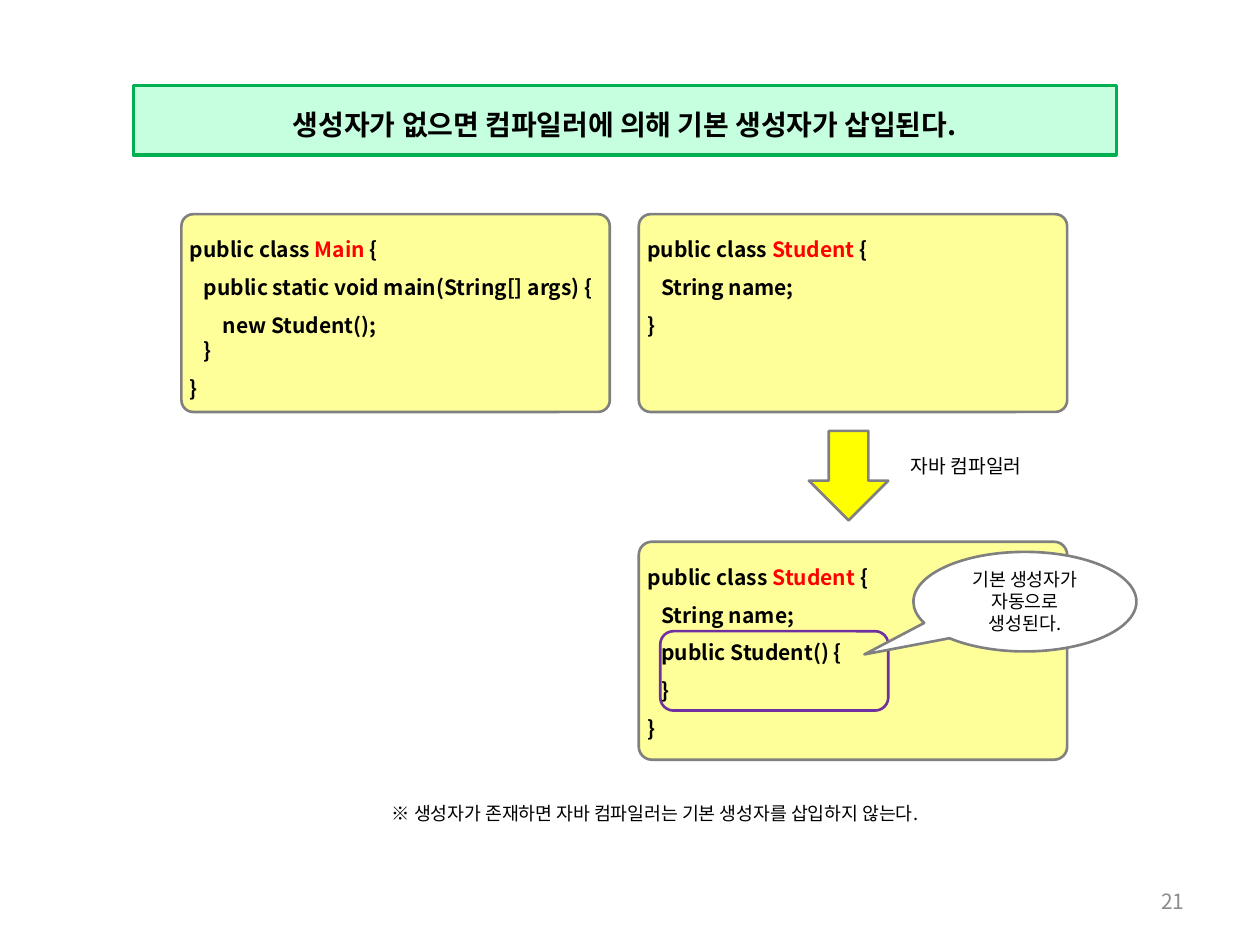
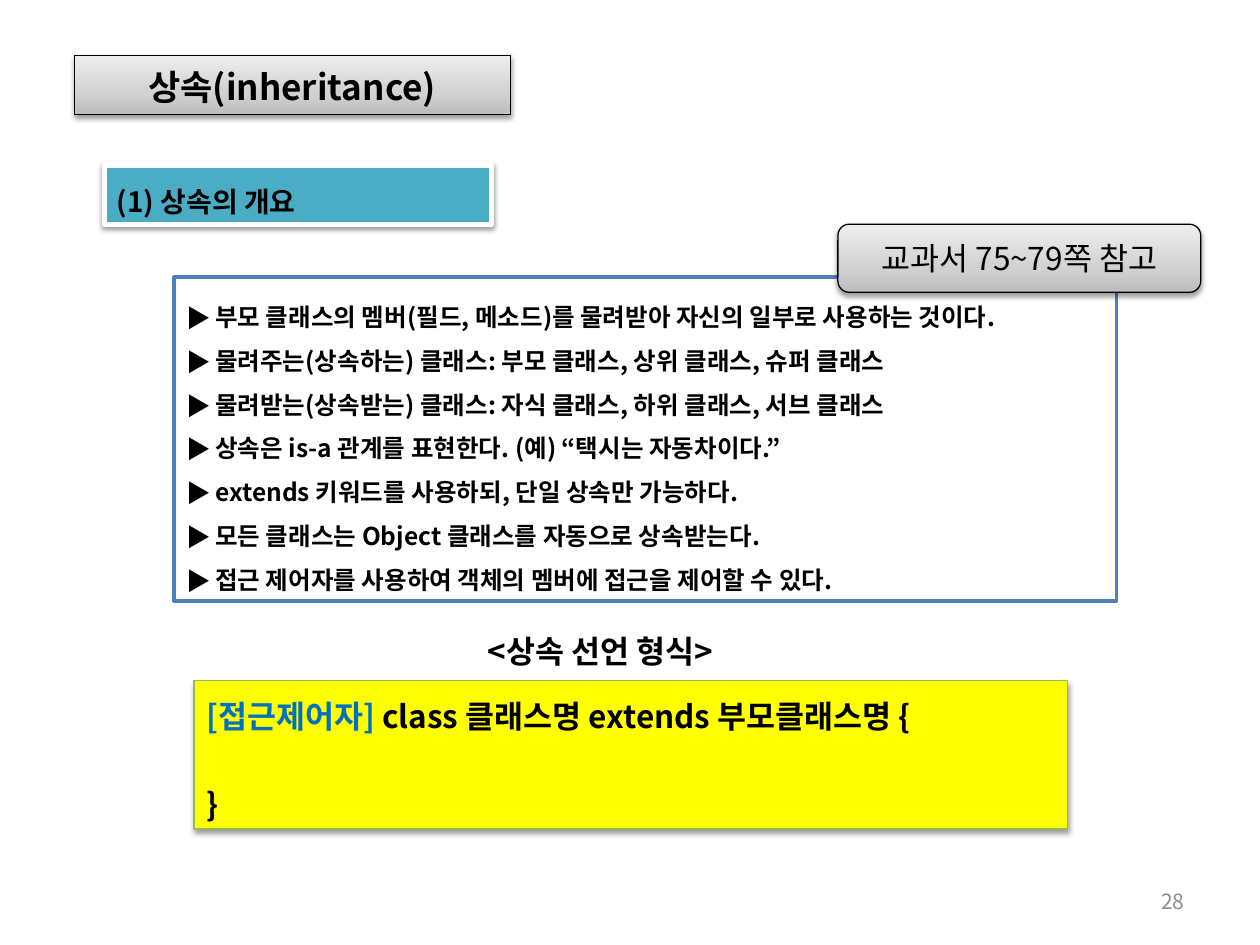
import dataclasses

import pptx
import pptx.dml.color
import pptx.enum.shapes
import pptx.enum.text
import pptx.oxml.ns
import pptx.util
from lxml import etree

Inches = pptx.util.Inches
Pt = pptx.util.Pt
Shape = pptx.enum.shapes.MSO_SHAPE
Align = pptx.enum.text.PP_ALIGN
Anchor = pptx.enum.text.MSO_ANCHOR
qn = pptx.oxml.ns.qn


@dataclasses.dataclass(frozen=True)
class Theme:
    font: str = "Noto Sans CJK KR"
    # Colours
    black: str = "000000"
    white: str = "FFFFFF"
    gray: str = "808080"
    number: str = "8C8C8C"
    red: str = "FF0000"
    yellow: str = "FFFF00"
    code_fill: str = "FFFF99"
    mint: str = "C5FFDF"
    green: str = "00B050"
    purple: str = "7030A0"
    teal: str = "4BACC6"
    blue: str = "4F81BD"
    keyword: str = "0070C0"
    olive: str = "98B955"
    silver: tuple = ((0, "BDBDBD"), (35, "D1D1D1"), (100, "EEEEEE"))
    # Type sizes
    title: float = 20
    large: float = 18
    heading: float = 16
    body: float = 14
    code: float = 12
    label: float = 11
    note: float = 10.5
    # Spacing
    exact_line: pptx.util.Length = Pt(25)
    box_insets: tuple = (0.1, 0.08, 0.1, 0.05)
    code_insets: tuple = (0.04, 0.05, 0, 0.05)


THEME = Theme()


def rgb(value):
    return pptx.dml.color.RGBColor.from_string(value)


def add_element(parent, tag, **attributes):
    element = etree.SubElement(parent, qn(tag))
    for name, value in attributes.items():
        element.set(name, str(value))
    return element


def add_span(para, text, *, size, color=THEME.black, bold=False):
    span = para.add_run()
    span.text = text
    span.font.size = Pt(size)
    span.font.bold = bold
    span.font.color.rgb = rgb(color)
    span.font.name = THEME.font
    add_element(span.font._element, "a:ea", typeface=THEME.font)


class Deck:
    def __init__(self, theme):
        self.theme = theme
        self.file = pptx.Presentation()
        self.file.slide_width = Inches(10)
        self.file.slide_height = Inches(7.5)
        self.page = None

    def new_page(self, number):
        self.page = self.file.slides.add_slide(self.file.slide_layouts[6])
        box = self.text_box(7.17, 6.95, 2.33, 0.4)
        box.text_frame.vertical_anchor = Anchor.MIDDLE
        self.add_text(box, str(number), size=self.theme.code,
                      color=self.theme.number, align=Align.RIGHT)

    def text_box(self, left, top, width, height, wrap=True):
        box = self.page.shapes.add_textbox(
            Inches(left), Inches(top), Inches(width), Inches(height))
        box.text_frame.word_wrap = wrap
        return box

    def shape(self, kind, left, top, width, height, fill=None, line=None,
              weight=1.5, adjust=(), insets=None, shadow=False):
        box = self.page.shapes.add_shape(
            kind, Inches(left), Inches(top), Inches(width), Inches(height))
        for index, value in enumerate(adjust):
            box.adjustments[index] = value
        if fill is None:
            box.fill.background()
        elif isinstance(fill, tuple):
            self.gradient(box, fill)
        else:
            box.fill.solid()
            box.fill.fore_color.rgb = rgb(fill)
        if line:
            box.line.color.rgb = rgb(line)
            box.line.width = Pt(weight)
        else:
            box.line.fill.background()
        box.shadow.inherit = False
        if shadow:
            self.drop_shadow(box)
        frame = box.text_frame
        frame.word_wrap = True
        frame.vertical_anchor = Anchor.MIDDLE
        if insets:
            (frame.margin_left, frame.margin_top, frame.margin_right,
             frame.margin_bottom) = map(Inches, insets)
        return box

    def gradient(self, box, stops):
        box.fill.gradient()
        box.fill.gradient_angle = 90
        stop_list = box._element.spPr.find(".//" + qn("a:gsLst"))
        for stop in list(stop_list):
            stop_list.remove(stop)
        for position, color in stops:
            stop = add_element(stop_list, "a:gs", pos=position * 1000)
            add_element(stop, "a:srgbClr", val=color)

    def drop_shadow(self, box):
        effects = box._element.spPr.find(qn("a:effectLst"))
        outer = add_element(effects, "a:outerShdw", blurRad=Pt(3.1),
                            dist=Pt(1.6), dir=90 * 60000, rotWithShape=0)
        color = add_element(outer, "a:srgbClr", val=self.theme.black)
        add_element(color, "a:alpha", val=38000)

    def panel(self, left, top, width, height, **style):
        return self.shape(Shape.FLOWCHART_PROCESS, left, top, width, height,
                          insets=self.theme.box_insets, **style)

    def add_text(self, box, *lines, align=Align.LEFT, spacing=None, **style):
        """Each line is a string or a list of (text, colour) pairs."""
        paras = []
        for index, line in enumerate(lines):
            frame = box.text_frame
            para = frame.add_paragraph() if index else frame.paragraphs[0]
            para.alignment = align
            if spacing:
                para.line_spacing = spacing
            if isinstance(line, str):
                add_span(para, line, **style)
            else:
                for text, color in line:
                    add_span(para, text, **{**style, "color": color})
            paras.append(para)
        return paras

    def bullet(self, para, hang):
        properties = para._element.get_or_add_pPr()
        properties.set("marL", str(Inches(hang)))
        properties.set("indent", str(-Inches(hang)))
        add_element(properties, "a:buFont", typeface=self.theme.font)
        add_element(properties, "a:buChar", char="▶")

    def code_box(self, left, top, height, class_name, *lines):
        """Each line is (indent in inches, line spacing, text)."""
        theme = self.theme
        box = self.shape(Shape.ROUNDED_RECTANGLE, left, top, 3.4, height,
                         fill=theme.code_fill, line=theme.gray,
                         adjust=[0.06], insets=theme.code_insets)
        box.text_frame.vertical_anchor = Anchor.TOP
        header = [("public class ", theme.black), (class_name, theme.red),
                  (" {", theme.black)]
        texts = [text for _, _, text in lines]
        paras = self.add_text(box, header, *texts, size=theme.code, bold=True)
        paras[0].line_spacing = 1.5
        for para, (indent, spacing, _) in zip(paras[1:], lines):
            para.line_spacing = spacing
            para._element.get_or_add_pPr().set("marL", str(Inches(indent)))


def constructor_page(deck):
    theme = deck.theme
    deck.new_page(21)

    # Code before compiling
    left, right, top = 1.44, 5.07, 1.7
    one, two = 0.11, 0.26
    deck.code_box(left, top, 1.57, "Main",
                  (one, 1.5, "public static void main(String[] args) {"),
                  (two, 1.5, "new Student();"),
                  (one, 1.0, "}"),
                  (0, 1.5, "}"))
    deck.code_box(right, top, 1.57, "Student",
                  (one, 1.5, "String name;"),
                  (0, 1.5, "}"))

    # Headline
    box = deck.panel(1.06, 0.68, 7.8, 0.55, fill=theme.mint,
                     line=theme.green, weight=2)
    deck.add_text(box, "생성자가 없으면 컴파일러에 의해 기본 생성자가 삽입된다.",
                  size=theme.heading, bold=True, align=Align.CENTER,
                  spacing=Pt(22))

    # Code after compiling
    deck.code_box(right, 4.3, 1.73, "Student",
                  (one, 1.5, "String name;"),
                  (one, 1.5, "public Student() {"),
                  (one, 1.5, "}"),
                  (0, 1.5, "}"))

    # Compiler step
    deck.shape(Shape.DOWN_ARROW, 6.42, 3.42, 0.63, 0.71,
               fill=theme.yellow, line=theme.gray)
    box = deck.text_box(7.13, 3.56, 1.18, 0.29, wrap=False)
    deck.add_text(box, "자바 컴파일러", size=theme.label)

    # Inserted constructor
    deck.shape(Shape.ROUNDED_RECTANGLE, 5.24, 5.01, 1.81, 0.63,
               line=theme.purple)
    box = deck.shape(Shape.OVAL_CALLOUT, 7.25, 4.38, 1.77, 0.79,
                     fill=theme.white, line=theme.gray, adjust=[-0.72, 0.53])
    deck.add_text(box, "기본 생성자가 자동으로 생성된다.",
                  size=theme.note, align=Align.CENTER)

    # Remark
    box = deck.shape(Shape.ROUNDED_RECTANGLE, 1.93, 6.26, 6.54, 0.39,
                     fill=theme.white)
    deck.add_text(
        box, "※ 생성자가 존재하면 자바 컴파일러는 기본 생성자를 삽입하지 않는다.",
        size=theme.note, align=Align.CENTER)


def inheritance_page(deck):
    theme = deck.theme
    deck.new_page(28)
    exact = theme.exact_line

    # Title and section heading
    box = deck.panel(0.59, 0.44, 3.46, 0.47, fill=theme.silver,
                     line=theme.black, weight=0.75, shadow=True)
    deck.add_text(box, "상속(inheritance)", size=theme.title, bold=True,
                  align=Align.CENTER)
    box = deck.panel(0.83, 1.31, 3.07, 0.47, fill=theme.teal,
                     line=theme.white, weight=3, shadow=True)
    deck.add_text(box, "(1) 상속의 개요", size=theme.heading, bold=True,
                  spacing=exact)

    # Key points
    box = deck.panel(1.38, 2.2, 7.48, 2.57, fill=theme.white,
                     line=theme.blue, weight=2)
    points = deck.add_text(
        box,
        "부모 클래스의 멤버(필드, 메소드)를 물려받아 자신의 일부로 사용하는 것이다.",
        "물려주는(상속하는) 클래스: 부모 클래스, 상위 클래스, 슈퍼 클래스",
        "물려받는(상속받는) 클래스: 자식 클래스, 하위 클래스, 서브 클래스",
        "상속은 is-a 관계를 표현한다. (예) “택시는 자동차이다.”",
        "extends 키워드를 사용하되, 단일 상속만 가능하다.",
        "모든 클래스는 Object 클래스를 자동으로 상속받는다.",
        "접근 제어자를 사용하여 객체의 멤버에 접근을 제어할 수 있다.",
        size=theme.body, bold=True, spacing=exact)
    for para in points:
        deck.bullet(para, 0.23)

    # Textbook reference
    box = deck.shape(Shape.ROUNDED_RECTANGLE, 6.65, 1.78, 2.88, 0.54,
                     fill=theme.silver, line=theme.black, weight=0.75,
                     shadow=True)
    deck.add_text(box, "교과서 75~79쪽 참고", size=theme.large,
                  align=Align.CENTER)

    # Declaration syntax
    box = deck.panel(1.54, 5.4, 6.93, 1.18, fill=theme.yellow,
                     line=theme.olive, weight=0.75, shadow=True)
    declaration = [("[접근제어자]", theme.keyword),
                   (" class 클래스명 extends 부모클래스명 {", theme.black)]
    _, closing = deck.add_text(box, declaration, "}", size=theme.large,
                               bold=True, spacing=exact)
    closing.space_before = exact
    box = deck.panel(3.03, 4.93, 3.47, 0.39)
    deck.add_text(box, "<상속 선언 형식>", size=theme.large, bold=True,
                  align=Align.CENTER, spacing=exact)


deck = Deck(THEME)
constructor_page(deck)
inheritance_page(deck)
deck.file.save("out.pptx")
